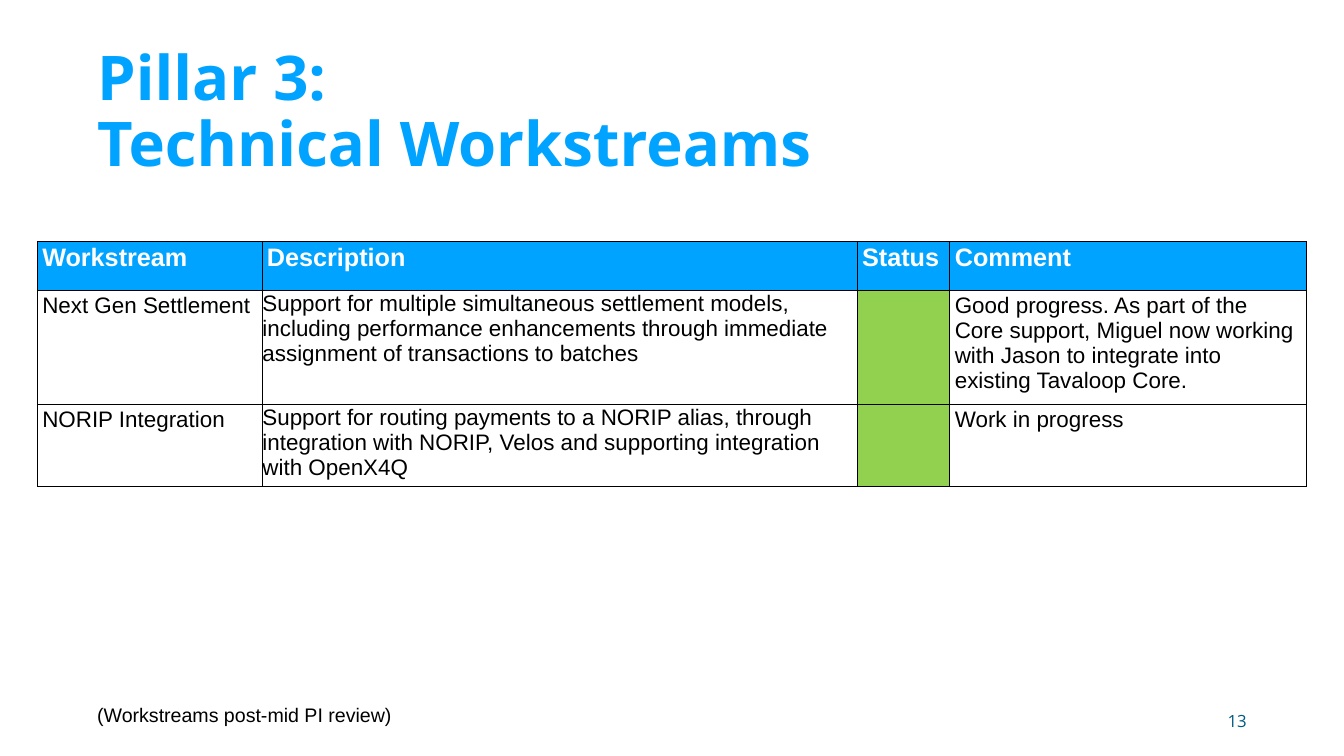
"""Build the technical workstreams status slide."""
from dataclasses import dataclass

from pptx import Presentation
from pptx import util as u
from pptx.dml.color import RGBColor
from pptx.enum import text
from pptx.oxml import parse_xml
from pptx.oxml.ns import nsdecls


@dataclass(frozen=True)
class Theme:
    accent: str = "00A3FF"
    page_number: str = "005A83"
    on_track: str = "92D050"
    ink: str = "000000"
    paper: str = "FFFFFF"
    title_font: str = "Open Sans"
    body_font: str = "Arial"
    title_size: int = 88
    header_size: int = 36
    cell_size: int = 32
    note_size: int = 28
    number_size: int = 24
    border_width: int = 1


@dataclass(frozen=True)
class Area:
    column: float
    row: float
    columns: float
    rows: float


@dataclass(frozen=True)
class Workstream:
    name: str
    description: str
    status: str
    comment: str


THEME = Theme()
WIDTH, HEIGHT = u.Inches(26.67), u.Inches(15)
GRID = 100
TITLE_AREA = Area(6.86, 5.33, 77.39, 19.33)
NUMBER_AREA = Area(70.64, 92.67, 22.5, 5.33)
NOTE_AREA = Area(6.86, 92.67, 22.87, 3.8)
TABLE_COLUMNS = (16.72, 44.28, 6.9, 26.55)
TABLE_ROWS = (6.47, 15.13, 10.73)
TABLE_AREA = Area(2.77, 31.93, sum(TABLE_COLUMNS), sum(TABLE_ROWS))
HEADERS = ("Workstream", "Description", "Status", "Comment")
WORKSTREAMS = (
    Workstream(
        "Next Gen Settlement",
        "Support for multiple simultaneous settlement models, including performance "
        "enhancements through immediate assignment of transactions to batches",
        THEME.on_track,
        "Good progress. As part of the Core support, Miguel now working with Jason "
        "to integrate into existing Tavaloop Core.",
    ),
    Workstream(
        "NORIP Integration",
        "Support for routing payments to a NORIP alias, through integration with "
        "NORIP, Velos and supporting integration with OpenX4Q",
        THEME.on_track,
        "Work in progress",
    ),
)


def across(columns: float) -> int:
    return round(WIDTH * columns / GRID)


def down(rows: float) -> int:
    return round(HEIGHT * rows / GRID)


def bounds(area: Area) -> tuple[int, int, int, int]:
    return across(area.column), down(area.row), across(area.columns), down(area.rows)


def write(frame, words: str, *, size: int, color: str = THEME.ink,
          font: str = THEME.body_font, bold: bool = False,
          align=text.PP_ALIGN.LEFT, spacing: float = 1.0) -> None:
    para = frame.paragraphs[0]
    para.text = words
    para.alignment = align
    para.line_spacing = spacing
    for span in para.runs:
        span.font.name = font
        span.font.size = u.Pt(size)
        span.font.bold = bold
        span.font.color.rgb = RGBColor.from_string(color)


def add_title(page, words: str) -> None:
    title = page.shapes.title
    title.left, title.top, title.width, title.height = bounds(TITLE_AREA)
    frame = title.text_frame
    frame.auto_size = text.MSO_AUTO_SIZE.NONE
    frame.vertical_anchor = text.MSO_ANCHOR.MIDDLE
    write(frame, words, size=THEME.title_size, color=THEME.accent,
          font=THEME.title_font, bold=True, spacing=0.9)


def add_label(page, area: Area, words: str, *, wrap: bool = True,
              anchor=text.MSO_ANCHOR.TOP, **style) -> None:
    box = page.shapes.add_textbox(*bounds(area))
    box.text_frame.word_wrap = wrap
    box.text_frame.vertical_anchor = anchor
    write(box.text_frame, words, **style)


def paint_cell(cell, fill: str) -> None:
    cell.fill.solid()
    cell.fill.fore_color.rgb = RGBColor.from_string(fill)
    properties = cell._tc.get_or_add_tcPr()
    for index, side in enumerate(("lnL", "lnR", "lnT", "lnB")):
        properties.insert(index, parse_xml(
            f'<a:{side} {nsdecls("a")} w="{u.Pt(THEME.border_width)}">'
            f'<a:solidFill><a:srgbClr val="{THEME.ink}"/></a:solidFill></a:{side}>'))


def fill_workstream(cells, stream: Workstream) -> None:
    name, description, status, comment = cells
    for cell in (name, description, comment):
        paint_cell(cell, THEME.paper)
    paint_cell(status, stream.status)
    description.margin_left = description.margin_right = u.Inches(0.01)
    description.margin_top, description.margin_bottom = u.Inches(0.01), 0
    write(name.text_frame, stream.name, size=THEME.cell_size)
    write(description.text_frame, stream.description, size=THEME.cell_size)
    write(comment.text_frame, stream.comment, size=THEME.cell_size)


def add_workstream_table(page) -> None:
    table = page.shapes.add_table(
        len(TABLE_ROWS), len(TABLE_COLUMNS), *bounds(TABLE_AREA)).table
    table.horz_banding = False
    for column, columns in zip(table.columns, TABLE_COLUMNS):
        column.width = across(columns)
    for row, rows in zip(table.rows, TABLE_ROWS):
        row.height = down(rows)
    header, *body = table.rows
    for cell, heading in zip(header.cells, HEADERS):
        paint_cell(cell, THEME.accent)
        write(cell.text_frame, heading, size=THEME.header_size,
              color=THEME.paper, bold=True)
    for row, stream in zip(body, WORKSTREAMS):
        fill_workstream(row.cells, stream)


def main() -> None:
    deck = Presentation()
    deck.slide_width, deck.slide_height = WIDTH, HEIGHT
    page = deck.slides.add_slide(deck.slide_layouts.get_by_name("Title Only"))
    add_title(page, "Pillar 3:\nTechnical Workstreams")
    add_label(page, NUMBER_AREA, "13", anchor=text.MSO_ANCHOR.MIDDLE,
              size=THEME.number_size, color=THEME.page_number,
              font=THEME.title_font, align=text.PP_ALIGN.RIGHT)
    add_label(page, NOTE_AREA, "(Workstreams post-mid PI review)", wrap=False,
              size=THEME.note_size)
    add_workstream_table(page)
    deck.save("out.pptx")


if __name__ == "__main__":
    main()
